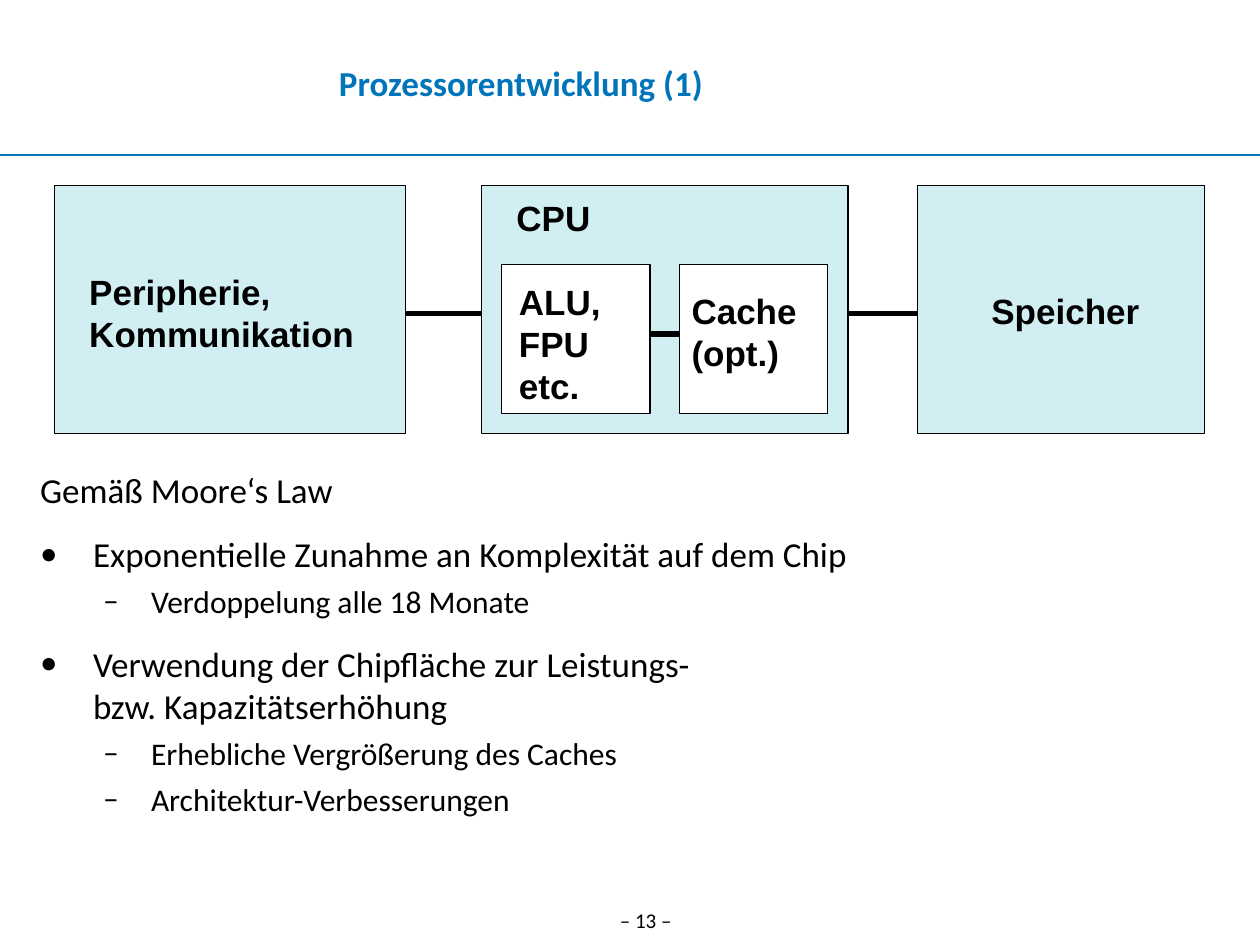
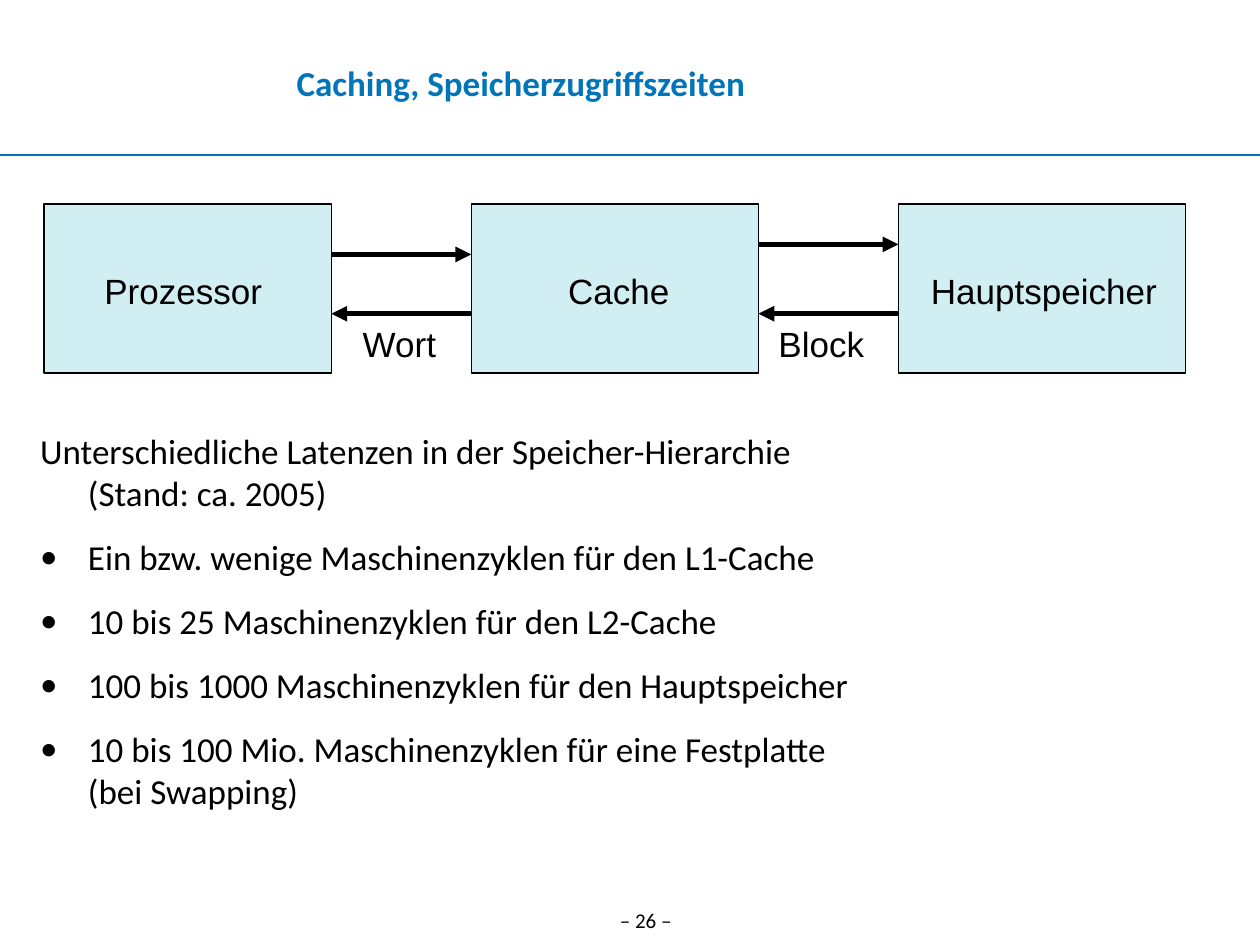
from lxml.etree import SubElement
from pptx import Presentation
from pptx.dml.color import RGBColor
from pptx.enum.shapes import MSO_CONNECTOR, MSO_SHAPE
from pptx.enum.text import MSO_ANCHOR, PP_ALIGN
from pptx.oxml.ns import qn
from pptx.util import Inches, Pt

BLUE = RGBColor(0x00, 0x75, 0xBA)
PALE = RGBColor(0xD1, 0xEF, 0xF3)
BLACK = RGBColor(0x00, 0x00, 0x00)
WHITE = RGBColor(0xFF, 0xFF, 0xFF)
BODY_FONT, DIAGRAM_FONT = "Calibri", "Arial"
COLUMNS, ROWS = 100, 75


def write_text(para, text, size=20, font=BODY_FONT, color=BLACK, bold=False,
               align=PP_ALIGN.LEFT, before=0):
    """Fill a paragraph; a newline in the text becomes a line break."""
    para.text = text
    para.alignment = align
    para.space_before = Pt(before)
    for span in para.runs:
        span.font.size = Pt(size)
        span.font.name = font
        span.font.color.rgb = color
        span.font.bold = bold


class SlideBuilder:
    """Holds the shared style and the page being drawn."""

    def __init__(self, deck):
        self.deck = deck
        self.page = None

    def place(self, *lengths):
        """Turn alternating columns and rows into slide lengths."""
        units = (self.deck.slide_width / COLUMNS, self.deck.slide_height / ROWS)
        return [round(length * units[i % 2]) for i, length in enumerate(lengths)]

    def start_page(self, title, number):
        self.page = self.deck.slides.add_slide(self.deck.slide_layouts[6])
        # Header rule, title and page number
        self.line(0, 12.3, 100, 12.3, color=BLUE, weight=0.75)
        frame = self.frame(2, 2.3, 78.7, 8.5, inset=False)
        frame.vertical_anchor = MSO_ANCHOR.MIDDLE
        write_text(frame.paragraphs[0], title, color=BLUE, bold=True,
                   align=PP_ALIGN.CENTER)
        frame = self.frame(46.9, 71.5, 8.7, 3.5)
        write_text(frame.paragraphs[0], f"– {number} –", size=12,
                   align=PP_ALIGN.CENTER)

    def frame(self, left, top, width, height, inset=True):
        box = self.page.shapes.add_textbox(*self.place(left, top, width, height))
        frame = box.text_frame
        frame.word_wrap = True
        if not inset:
            frame.margin_left = frame.margin_right = 0
            frame.margin_top = frame.margin_bottom = 0
        return frame

    def label(self, text, left, top, width, height=4.4, bold=False):
        frame = self.frame(left, top, width, height)
        frame.margin_right = 0
        write_text(frame.paragraphs[0], text, font=DIAGRAM_FONT, bold=bold)

    def block(self, left, top, width, height, fill=PALE):
        box = self.page.shapes.add_shape(
            MSO_SHAPE.RECTANGLE, *self.place(left, top, width, height))
        box.shadow.inherit = False
        box.fill.solid()
        box.fill.fore_color.rgb = fill
        box.line.color.rgb = BLACK
        box.line.width = Pt(0.75)

    def line(self, x1, y1, x2, y2, color=BLACK, weight=3, arrow=False):
        link = self.page.shapes.add_connector(
            MSO_CONNECTOR.STRAIGHT, *self.place(x1, y1, x2, y2))
        link.line.color.rgb = color
        link.line.width = Pt(weight)
        properties = link.element.spPr
        if arrow:
            SubElement(properties.find(qn("a:ln")), qn("a:tailEnd"), type="triangle")
        SubElement(properties, qn("a:effectLst"))

    def outline(self, items, left, top, width, height, indent):
        """Write (mark, text) items; a dash marks the second level."""
        frame = self.frame(left, top, width, height)
        for i, (mark, text) in enumerate(items):
            para = frame.add_paragraph() if i else frame.paragraphs[0]
            second = mark == "–"
            before = (4.5 if second else 12.5) if i else 0
            write_text(para, text, size=18 if second else 20, before=before)
            para.level = int(second)
            margin, hang = (0.88, 0.38) if second else (indent, indent)
            properties = para._p.get_or_add_pPr()
            properties.set("marL", str(Inches(margin)))
            properties.set("indent", str(-Inches(hang)))
            if mark:
                SubElement(properties, qn("a:buFont"), typeface=BODY_FONT)
                SubElement(properties, qn("a:buChar"), char=mark)
            else:
                SubElement(properties, qn("a:buNone"))


def draw_processor_page(builder):
    builder.start_page("Prozessorentwicklung (1)", 13)
    builder.outline([
        ("", "Gemäß Moore‘s Law"),
        ("•", "Exponentielle Zunahme an Komplexität auf dem Chip"),
        ("–", "Verdoppelung alle 18 Monate"),
        ("•", "Verwendung der Chipfläche zur Leistungs-\nbzw. Kapazitätserhöhung"),
        ("–", "Erhebliche Vergrößerung des Caches"),
        ("–", "Architektur-Verbesserungen"),
    ], 2.2, 36.7, 97.8, 35.4, indent=0.42)

    # Periphery, CPU and memory
    for left, width in ((4.3, 27.9), (38.2, 29.1), (72.8, 22.8)):
        builder.block(left, 14.7, width, 19.7)
    # Units inside the CPU
    for left in (39.8, 53.9):
        builder.block(left, 21, 11.8, 11.8, fill=WHITE)
    for start, end, height in ((32.2, 38.2, 24.9), (51.6, 53.9, 26.5),
                               (67.3, 72.8, 24.9)):
        builder.line(start, height, end, height)
    for text, *area in (
        ("Peripherie,\nKommunikation", 6.1, 21, 23.5, 7.7),
        ("CPU", 40, 15.1, 8),
        ("ALU,\nFPU\netc.", 40.2, 21.8, 9.8, 11),
        ("Cache\n(opt.)", 53.9, 22.5, 11.3, 7.7),
        ("Speicher", 77.7, 22.5, 14),
    ):
        builder.label(text, *area, bold=True)


def draw_caching_page(builder):
    builder.start_page("Caching, Speicherzugriffszeiten", 26)
    builder.outline([
        ("", "Unterschiedliche Latenzen in der Speicher-Hierarchie\n"
             "(Stand: ca. 2005)"),
        ("•", "Ein bzw. wenige Maschinenzyklen für den L1-Cache"),
        ("•", "10 bis 25 Maschinenzyklen für den L2-Cache"),
        ("•", "100 bis 1000 Maschinenzyklen für den Hauptspeicher"),
        ("•", "10 bis 100 Mio. Maschinenzyklen für eine Festplatte\n"
              "(bei Swapping)"),
    ], 2.2, 33.6, 92.7, 34.7, indent=0.38)

    # Memory levels at equal steps
    first, step, width = 3.5, 33.9, 22.8
    levels = (("Prozessor", 7.3, 14.5), ("Cache", 44.1, 10.2),
              ("Hauptspeicher", 72.9, 20.2))
    for i, (name, left, label_width) in enumerate(levels):
        builder.block(first + i * step, 16.2, width, 13.4)
        builder.label(name, left, 20.9, label_width)

    # Request to the right, answer to the left
    transfers = (("Wort", 20.2, 27.8, 7.9), ("Block", 19.4, 60.8, 8.8))
    for i, (name, request, left, label_width) in enumerate(transfers):
        start, end = first + i * step + width, first + (i + 1) * step
        builder.line(start, request, end, request, arrow=True)
        builder.line(end, 24.9, start, 24.9, arrow=True)
        builder.label(name, left, 25.1, label_width)


def main():
    deck = Presentation()
    deck.slide_width, deck.slide_height = Inches(10), Inches(7.5)
    builder = SlideBuilder(deck)
    draw_processor_page(builder)
    draw_caching_page(builder)
    deck.save("out.pptx")


if __name__ == "__main__":
    main()
